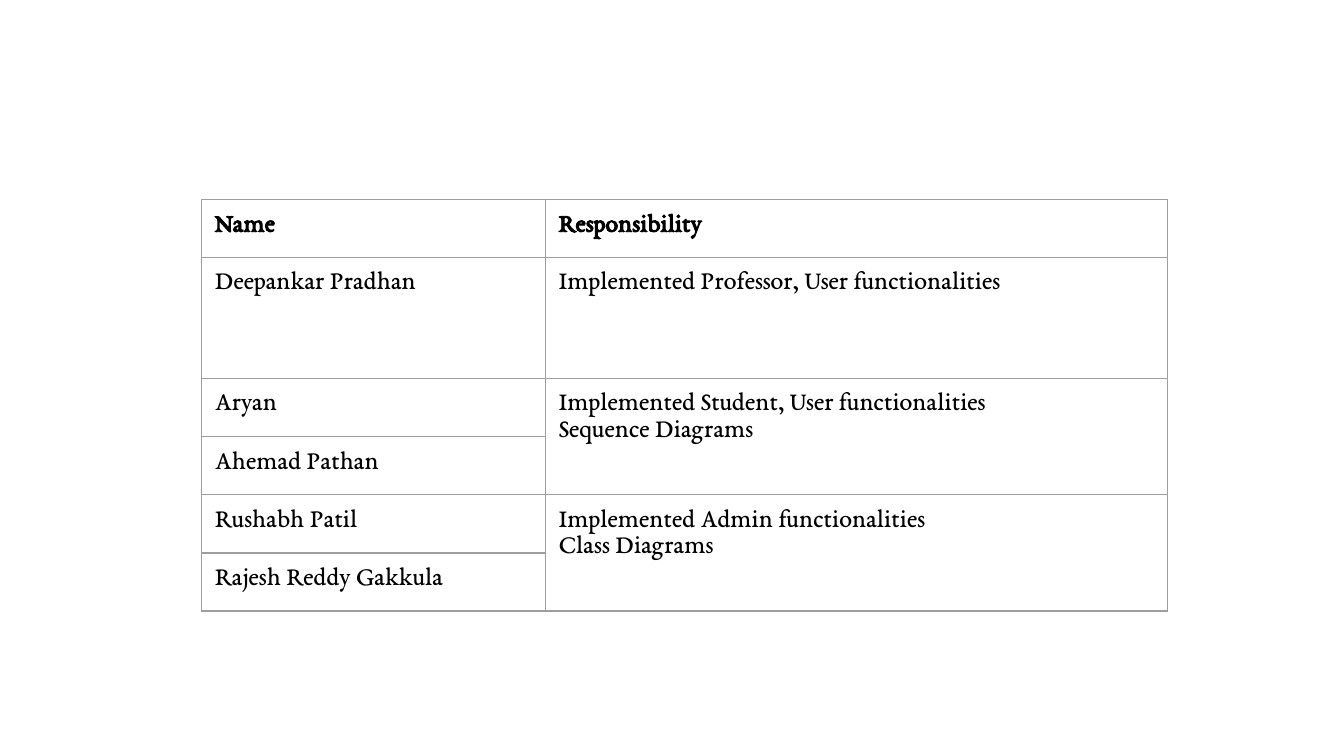
from dataclasses import dataclass

from lxml.etree import SubElement
from pptx import Presentation
from pptx.dml.color import RGBColor
from pptx.enum.text import MSO_ANCHOR
from pptx.oxml.ns import qn
from pptx.table import Table, _Cell
from pptx.util import Emu, Pt

EMU_PER_PX = 4762.5  # 192 px to the inch


def px(length: int) -> Emu:
    return Emu(round(length * EMU_PER_PX))


@dataclass(frozen=True)
class Theme:
    font: str = "EB Garamond"
    text_size: int = 14
    text_color: str = "000000"
    border_color: str = "9E9E9E"
    border_width: float = 0.75
    cell_inset: int = 19


@dataclass(frozen=True)
class Entry:
    row: int
    column: int
    lines: tuple[str, ...]
    row_span: int = 1
    bold: bool = False


THEME = Theme()
TABLE_LEFT, TABLE_TOP = 288, 285
COLUMN_WIDTHS = (491, 889)
ROW_HEIGHTS = (83, 173, 83, 83, 83, 83)

ENTRIES = (
    Entry(0, 0, ("Name",), bold=True),
    Entry(0, 1, ("Responsibility",), bold=True),
    Entry(1, 0, ("Deepankar Pradhan",)),
    Entry(1, 1, ("Implemented Professor, User functionalities",)),
    Entry(2, 0, ("Aryan",)),
    Entry(2, 1, ("Implemented Student, User functionalities", "Sequence Diagrams"), 2),
    Entry(3, 0, ("Ahemad Pathan",)),
    Entry(4, 0, ("Rushabh Patil",)),
    Entry(4, 1, ("Implemented Admin functionalities", "Class Diagrams"), 2),
    Entry(5, 0, ("Rajesh Reddy Gakkula",)),
)


def format_cell(cell: _Cell) -> None:
    """Set insets, borders and an empty fill."""
    inset = px(THEME.cell_inset)
    cell_format = {
        "margin_left": inset,
        "margin_right": inset,
        "margin_top": inset,
        "margin_bottom": inset,
        "vertical_anchor": MSO_ANCHOR.TOP,
    }
    for name, value in cell_format.items():
        setattr(cell, name, value)
    properties = cell._tc.get_or_add_tcPr()
    for side in ("a:lnL", "a:lnR", "a:lnT", "a:lnB"):
        line = SubElement(properties, qn(side), w=str(Pt(THEME.border_width)))
        fill = SubElement(line, qn("a:solidFill"))
        SubElement(fill, qn("a:srgbClr"), val=THEME.border_color)
    cell.fill.background()


def write_entry(table: Table, entry: Entry) -> None:
    cell = table.cell(entry.row, entry.column)
    if entry.row_span > 1:
        cell.merge(table.cell(entry.row + entry.row_span - 1, entry.column))
    cell.text = "\n".join(entry.lines)
    font_format = {"name": THEME.font, "size": Pt(THEME.text_size), "bold": entry.bold}
    for paragraph in cell.text_frame.paragraphs:
        for run in paragraph.runs:
            for name, value in font_format.items():
                setattr(run.font, name, value)
            run.font.color.rgb = RGBColor.from_string(THEME.text_color)


def main() -> None:
    presentation = Presentation()
    presentation.slide_width, presentation.slide_height = px(1920), px(1080)
    # Blank layout: the slide has no title
    slide = presentation.slides.add_slide(presentation.slide_layouts[6])

    # Table grid
    shape = slide.shapes.add_table(
        len(ROW_HEIGHTS), len(COLUMN_WIDTHS), px(TABLE_LEFT), px(TABLE_TOP),
        px(sum(COLUMN_WIDTHS)), px(sum(ROW_HEIGHTS)),
    )
    table = shape.table
    table.first_row = table.horz_banding = False
    for column, width in zip(table.columns, COLUMN_WIDTHS):
        column.width = px(width)
    for row, height in zip(table.rows, ROW_HEIGHTS):
        row.height = px(height)

    # Cell formats and text
    for cell in table.iter_cells():
        format_cell(cell)
    for entry in ENTRIES:
        write_entry(table, entry)

    presentation.save("out.pptx")


if __name__ == "__main__":
    main()
